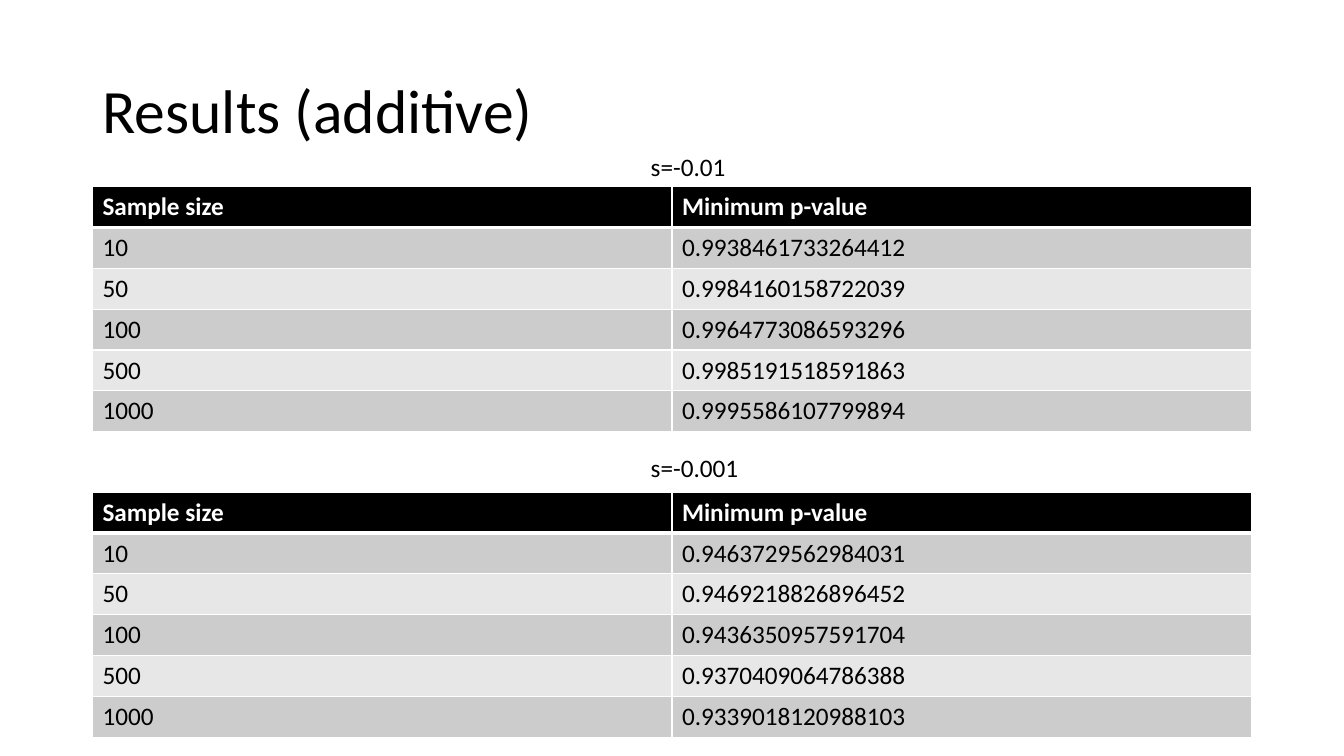
from dataclasses import dataclass

from lxml.etree import SubElement
from pptx import Presentation
from pptx.dml.color import RGBColor
from pptx.enum.text import MSO_ANCHOR, MSO_AUTO_SIZE, PP_ALIGN
from pptx.oxml.ns import qn
from pptx.util import Cm, Pt


@dataclass(frozen=True)
class Theme:
    font: str = "Calibri"
    ink: str = "000000"
    paper: str = "FFFFFF"
    bands: tuple = ("CCCCCC", "E7E7E7")
    title_size: int = 44
    text_size: int = 18


THEME = Theme()


def write(frame, text, size=THEME.text_size, color=THEME.ink, bold=False, line_spacing=None):
    paragraph = frame.paragraphs[0]
    paragraph.alignment = PP_ALIGN.LEFT
    paragraph.line_spacing = line_spacing
    run = paragraph.add_run()
    run.text = text
    run.font.name = THEME.font
    run.font.size = Pt(size)
    run.font.bold = bold
    run.font.color.rgb = RGBColor.from_string(color)


def paint_cell(cell, fill, bottom_width):
    """Give a cell white borders and a solid fill; borders must come first in the XML."""
    properties = cell._tc.get_or_add_tcPr()
    for side, width in (("L", 1), ("R", 1), ("T", 1), ("B", bottom_width)):
        border = SubElement(properties, qn(f"a:ln{side}"), w=str(Pt(width)))
        SubElement(SubElement(border, qn("a:solidFill")), qn("a:srgbClr"), val=THEME.paper)
    cell.fill.solid()
    cell.fill.fore_color.rgb = RGBColor.from_string(fill)


HEADINGS = ("Sample size", "Minimum p-value")
SAMPLE_SIZES = ("10", "50", "100", "500", "1000")
# caption, caption top, caption width, table top (cm), p-values
RESULTS = (
    ("s=-0.01", 3.68, 2.54, 4.7, (
        "0.9938461733264412", "0.9984160158722039", "0.9964773086593296",
        "0.9985191518591863", "0.9995586107799894")),
    ("s=-0.001", 11.28, 3.05, 12.4, (
        "0.9463729562984031", "0.9469218826896452", "0.9436350957591704",
        "0.9370409064786388", "0.9339018120988103")),
)
LEFT, WIDTH, ROW_HEIGHT = Cm(2.33), Cm(29.21), Cm(1.03)

presentation = Presentation()
presentation.slide_width, presentation.slide_height = Cm(33.87), Cm(19.05)
slide = presentation.slides.add_slide(presentation.slide_layouts[5])

title = slide.shapes.title
title.left, title.top, title.width, title.height = LEFT, Cm(1.01), WIDTH, Cm(3.68)
title.text_frame.vertical_anchor = MSO_ANCHOR.MIDDLE
write(title.text_frame, "Results (additive)", size=THEME.title_size, line_spacing=0.9)

for caption, caption_top, caption_width, table_top, p_values in RESULTS:
    rows = [HEADINGS, *zip(SAMPLE_SIZES, p_values)]
    results = slide.shapes.add_table(
        len(rows), len(HEADINGS), LEFT, Cm(table_top), WIDTH, ROW_HEIGHT * len(rows)).table
    for r, row in enumerate(rows):
        is_header = r == 0
        results.rows[r].height = ROW_HEIGHT
        for c, text in enumerate(row):
            cell = results.cell(r, c)
            paint_cell(cell, THEME.ink if is_header else THEME.bands[(r - 1) % 2],
                       bottom_width=3 if is_header else 1)
            write(cell.text_frame, text, bold=is_header,
                  color=THEME.paper if is_header else THEME.ink)

    selection = slide.shapes.add_textbox(
        Cm(16.15), Cm(caption_top), Cm(caption_width), Cm(1.03)).text_frame
    selection.word_wrap = True
    selection.auto_size = MSO_AUTO_SIZE.SHAPE_TO_FIT_TEXT
    write(selection, caption)

presentation.save("out.pptx")
